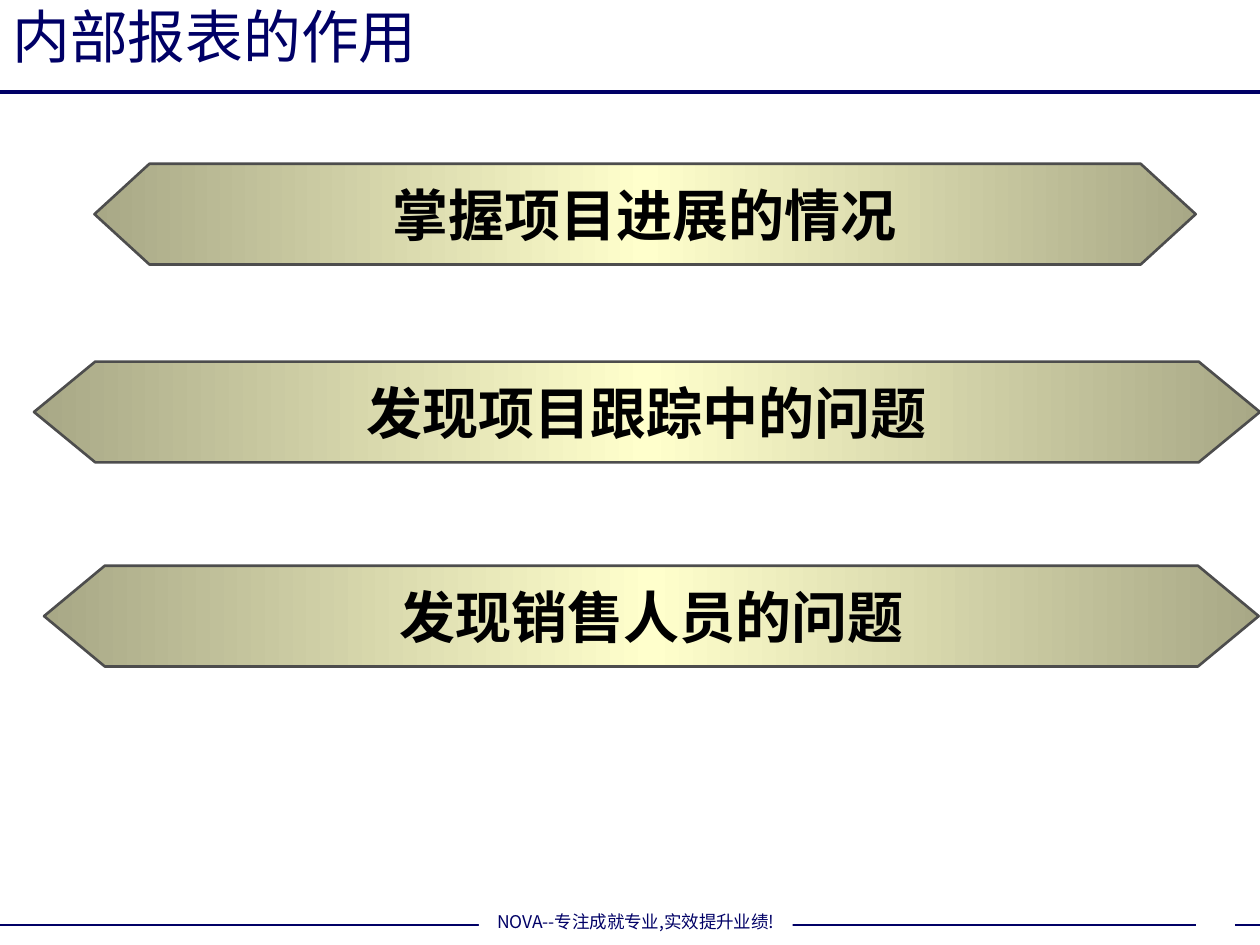
import copy
import dataclasses

import pptx
import pptx.dml.color
import pptx.enum.shapes
import pptx.enum.text
import pptx.oxml
import pptx.oxml.ns
import pptx.util

WIDTH, HEIGHT = 10, 7.5
BANNER_HEIGHT = 0.8
TIP_SHARE = 0.05
RULES = [(0, 10, 0.73, 2.25), (0, 3.9, 7.34, 1), (6.22, 9.49, 7.34, 1), (9.8, 10, 7.34, 1)]
BANNERS = [
    ("掌握项目进展的情况", 0.75, 1.3, 8.74),
    ("发现项目跟踪中的问题", 0.27, 2.87, 9.73),
    ("发现销售人员的问题", 0.35, 4.49, 9.64),
]


@dataclasses.dataclass(frozen=True)
class Theme:
    """Colours, fonts and type sizes of the slide."""

    navy: str = "000066"
    white: str = "FFFFFF"
    black: str = "000000"
    outline: str = "4D4D4D"
    gradient: tuple = ("A8A886", "FFFFCC", "A8A886")
    sans: str = "Noto Sans CJK SC"
    serif: str = "Times New Roman"
    title_size: float = 33
    banner_size: float = 32
    footer_size: float = 10


THEME = Theme()


def colour(value):
    """Turn a hex string into a colour."""
    return pptx.dml.color.RGBColor.from_string(value)


def inches(*values):
    """Turn numbers into lengths in inches."""
    return [pptx.util.Inches(value) for value in values]


def write(box, text, font, size, ink, centred=True, bold=False, wrap=True):
    """Put one vertically centred paragraph into a box."""
    frame = box.text_frame
    frame.word_wrap = wrap
    frame.vertical_anchor = pptx.enum.text.MSO_ANCHOR.MIDDLE
    para = frame.paragraphs[0]
    para.text = text
    align = pptx.enum.text.PP_ALIGN
    para.alignment = align.CENTER if centred else align.LEFT
    para.font.name = font
    para.font.size = pptx.util.Pt(size)
    para.font.bold = bold
    para.font.color.rgb = colour(ink)
    return para


def add_rule(page, start, end, top, weight):
    """Draw a horizontal navy line."""
    straight = pptx.enum.shapes.MSO_CONNECTOR.STRAIGHT
    rule = page.shapes.add_connector(straight, *inches(start, top, end, top))
    rule.line.color.rgb = colour(THEME.navy)
    rule.line.width = pptx.util.Pt(weight)
    rule._element.spPr.append(pptx.oxml.parse_xml(
        f'<a:effectLst {pptx.oxml.ns.nsdecls("a")}/>'))


def add_title(page, text):
    """Write the slide title at the top left."""
    box = page.shapes.add_textbox(*inches(0, 0, 7.44, 0.57))
    write(box, text, THEME.sans, THEME.title_size, THEME.navy, centred=False)


def add_footer(page, text):
    """Write the motto on a white plate over the bottom line."""
    plate = page.shapes.add_shape(
        pptx.enum.shapes.MSO_SHAPE.RECTANGLE, *inches(3.8, 7.18, 2.49, 0.27))
    plate.shadow.inherit = False
    plate.fill.solid()
    plate.fill.fore_color.rgb = colour(THEME.white)
    plate.line.fill.background()
    para = write(plate, text, THEME.sans, THEME.footer_size, THEME.navy, wrap=False)
    para.space_before = pptx.util.Pt(6.2)


def fill_gradient(shape, colours):
    """Fill a shape with evenly spaced horizontal gradient stops."""
    shape.fill.gradient()
    shape.fill.gradient_angle = 180
    stop_list = shape._element.spPr.find(".//" + pptx.oxml.ns.qn("a:gsLst"))
    while len(stop_list) < len(colours):
        stop_list.append(copy.deepcopy(stop_list[0]))
    for index, (stop, value) in enumerate(zip(shape.fill.gradient_stops, colours)):
        stop.position = index / (len(colours) - 1)
        stop.color.rgb = colour(value)


def add_banner(page, text, left, top, width):
    """Draw a long hexagon with a bold statement."""
    banner = page.shapes.add_shape(
        pptx.enum.shapes.MSO_SHAPE.HEXAGON, *inches(left, top, width, BANNER_HEIGHT))
    banner.adjustments[0] = TIP_SHARE * width / BANNER_HEIGHT
    banner.shadow.inherit = False
    fill_gradient(banner, THEME.gradient)
    banner.line.color.rgb = colour(THEME.outline)
    banner.line.width = pptx.util.Pt(1.5)
    write(banner, text, THEME.serif, THEME.banner_size, THEME.black, bold=True)


def main():
    """Build the slide and save it."""
    deck = pptx.Presentation()
    deck.slide_width, deck.slide_height = inches(WIDTH, HEIGHT)
    page = deck.slides.add_slide(deck.slide_layouts[6])
    for rule in RULES:
        add_rule(page, *rule)
    add_footer(page, "NOVA--专注成就专业,实效提升业绩!")
    add_title(page, "内部报表的作用")
    for banner in BANNERS:
        add_banner(page, *banner)
    deck.save("out.pptx")


if __name__ == "__main__":
    main()
